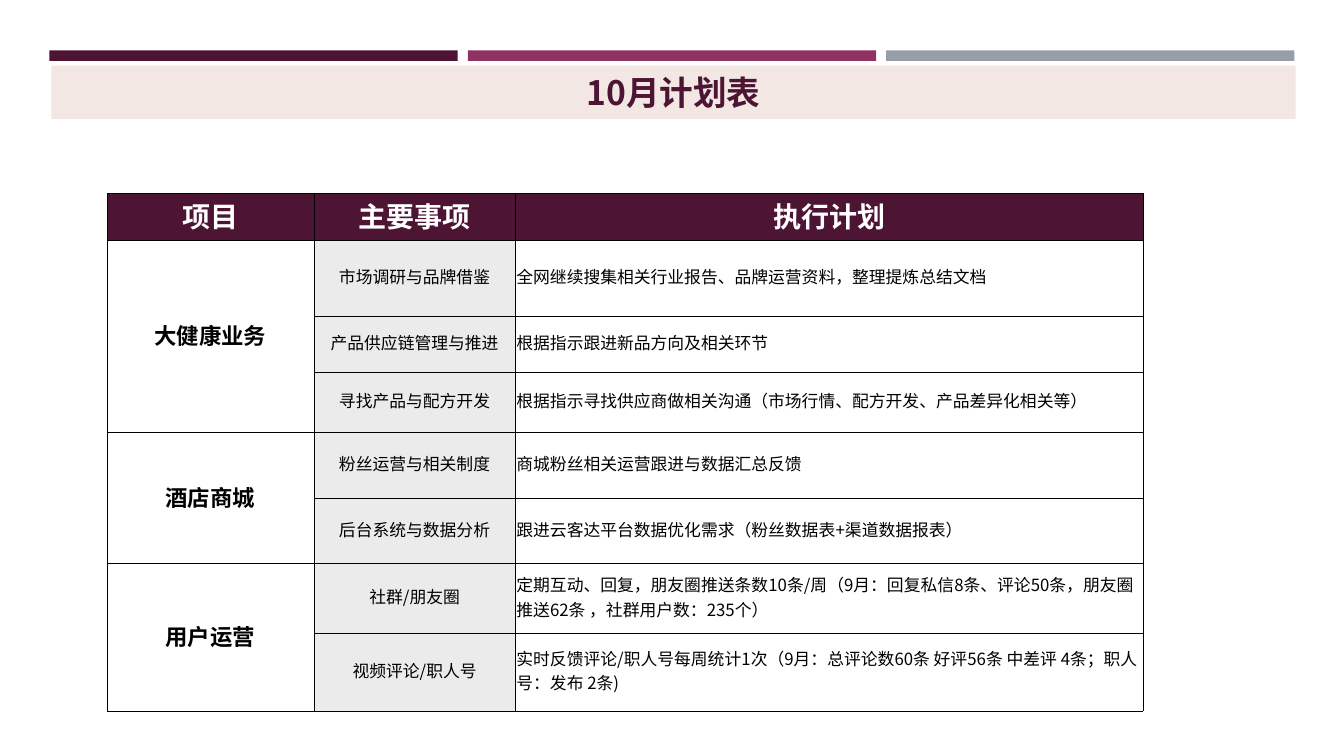
from dataclasses import dataclass

from lxml import etree
from pptx import Presentation
from pptx.dml.color import RGBColor
from pptx.enum.shapes import MSO_SHAPE
from pptx.enum.text import MSO_ANCHOR, MSO_AUTO_SIZE, PP_ALIGN
from pptx.oxml.ns import qn
from pptx.util import Inches, Pt

RECTANGLE = MSO_SHAPE.RECTANGLE
MIDDLE = MSO_ANCHOR.MIDDLE
NO_AUTOFIT = MSO_AUTO_SIZE.NONE
LEFT, CENTER = PP_ALIGN.LEFT, PP_ALIGN.CENTER
TITLE_ONLY = 5


@dataclass(frozen=True)
class Theme:
    font: str = "Noto Sans CJK SC"
    plum: str = "4D1434"
    berry: str = "903163"
    steel: str = "969FA7"
    blush: str = "F2E7E2"
    pale_gray: str = "EBEBEB"
    black: str = "000000"
    white: str = "FFFFFF"
    title_size: int = 24
    header_size: int = 20
    project_size: int = 16
    body_size: int = 12
    border_points: float = 0.5


class SlideBuilder:
    """Places elements on a grid of 100 columns by 75 rows."""

    def __init__(self, presentation, theme):
        self.theme = theme
        self.column = presentation.slide_width / 100
        self.row = presentation.slide_height / 75
        self.slide = presentation.slides.add_slide(presentation.slide_layouts[TITLE_ONLY])

    def box(self, left, top, width, height):
        return (round(left * self.column), round(top * self.row),
                round(width * self.column), round(height * self.row))

    def fill(self, target, color):
        target.fill.solid()
        target.fill.fore_color.rgb = RGBColor.from_string(color)

    def add_text(self, frame, text, size, color, bold=False, align=CENTER):
        paragraph = frame.paragraphs[0]
        paragraph.alignment = align
        paragraph.space_before = Pt(0)
        run = paragraph.add_run()
        run.text = text
        formats = {"name": self.theme.font, "size": Pt(size), "bold": bold}
        for name, value in formats.items():
            setattr(run.font, name, value)
        run.font.color.rgb = RGBColor.from_string(color)
        east_asian = etree.SubElement(run.font._element, qn("a:ea"))
        east_asian.set("typeface", self.theme.font)

    def band(self, left, top, width, height, color):
        shape = self.slide.shapes.add_shape(RECTANGLE, *self.box(left, top, width, height))
        shape.shadow.inherit = False
        shape.line.fill.background()
        self.fill(shape, color)

    def title(self, text, left, top, width, height):
        shape = self.slide.shapes.title
        shape.left, shape.top, shape.width, shape.height = self.box(left, top, width, height)
        self.fill(shape, self.theme.blush)
        frame = shape.text_frame
        formats = {"auto_size": NO_AUTOFIT, "vertical_anchor": MIDDLE, "word_wrap": True}
        for name, value in formats.items():
            setattr(frame, name, value)
        self.add_text(frame, text, self.theme.title_size, self.theme.plum, bold=True)

    def borders(self, cell):
        properties = cell._tc.get_or_add_tcPr()
        for side in ("lnL", "lnR", "lnT", "lnB"):
            line = etree.SubElement(properties, qn(f"a:{side}"))
            line.set("w", str(Pt(self.theme.border_points)))
            solid = etree.SubElement(line, qn("a:solidFill"))
            etree.SubElement(solid, qn("a:srgbClr")).set("val", self.theme.black)

    def table(self, left, top, widths, heights):
        frame = self.slide.shapes.add_table(
            len(heights), len(widths), *self.box(left, top, sum(widths), sum(heights)))
        table = frame.table
        for column, width in zip(table.columns, widths):
            column.width = round(width * self.column)
        for row, height in zip(table.rows, heights):
            row.height = round(height * self.row)
        margins = {"margin_left": 0.01, "margin_right": 0.01,
                   "margin_top": 0.01, "margin_bottom": 0.05}
        for cell in table.iter_cells():
            for name, value in margins.items():
                setattr(cell, name, Inches(value))
            cell.vertical_anchor = MIDDLE
            self.borders(cell)
            cell.fill.background()
        return table

    def cell(self, cell, text, size, color, fill=None, bold=False, align=CENTER):
        if fill:
            self.fill(cell, fill)
        self.add_text(cell.text_frame, text, size, color, bold, align)


HEADERS = ["项目", "主要事项", "执行计划"]
PROJECTS = {
    "大健康业务": [
        ("市场调研与品牌借鉴", "全网继续搜集相关行业报告、品牌运营资料，整理提炼总结文档"),
        ("产品供应链管理与推进", "根据指示跟进新品方向及相关环节"),
        ("寻找产品与配方开发", "根据指示寻找供应商做相关沟通（市场行情、配方开发、产品差异化相关等）"),
    ],
    "酒店商城": [
        ("粉丝运营与相关制度", "商城粉丝相关运营跟进与数据汇总反馈"),
        ("后台系统与数据分析", "跟进云客达平台数据优化需求（粉丝数据表+渠道数据报表）"),
    ],
    "用户运营": [
        ("社群/朋友圈", "定期互动、回复，朋友圈推送条数10条/周（9月：回复私信8条、评论50条，"
                     "朋友圈推送62条 ，社群用户数：235个）"),
        ("视频评论/职人号", "实时反馈评论/职人号每周统计1次（9月：总评论数60条 好评56条 "
                       "中差评 4条；职人号：发布 2条)"),
    ],
}
COLUMN_WIDTHS = [15.4, 15, 46.7]
ROW_HEIGHTS = [4.5, 7.5, 5.6, 6, 6.5, 6.5, 6.9, 7.7]


def main():
    presentation = Presentation()
    presentation.slide_width = Inches(13.33)
    presentation.slide_height = Inches(7.5)
    theme = Theme()
    builder = SlideBuilder(presentation, theme)

    # Three colour bands above the title
    for index, color in enumerate((theme.plum, theme.berry, theme.steel)):
        builder.band(3.68 + index * 31.13, 5, 30.38, 1.05, color)

    # Title bar
    builder.title("10月计划表", 3.83, 6.5, 92.57, 5.3)

    # Plan table: header row
    table = builder.table(7.95, 19.2, COLUMN_WIDTHS, ROW_HEIGHTS)
    for index, header in enumerate(HEADERS):
        builder.cell(table.cell(0, index), header, theme.header_size, theme.white,
                     fill=theme.plum, bold=True)

    # Plan table: one merged project cell beside its tasks
    row = 1
    for project, tasks in PROJECTS.items():
        project_cell = table.cell(row, 0)
        project_cell.merge(table.cell(row + len(tasks) - 1, 0))
        builder.cell(project_cell, project, theme.project_size, theme.black, bold=True)
        for task, plan in tasks:
            builder.cell(table.cell(row, 1), task, theme.body_size, theme.black,
                         fill=theme.pale_gray)
            builder.cell(table.cell(row, 2), plan, theme.body_size, theme.black, align=LEFT)
            row += 1

    presentation.save("out.pptx")


if __name__ == "__main__":
    main()
